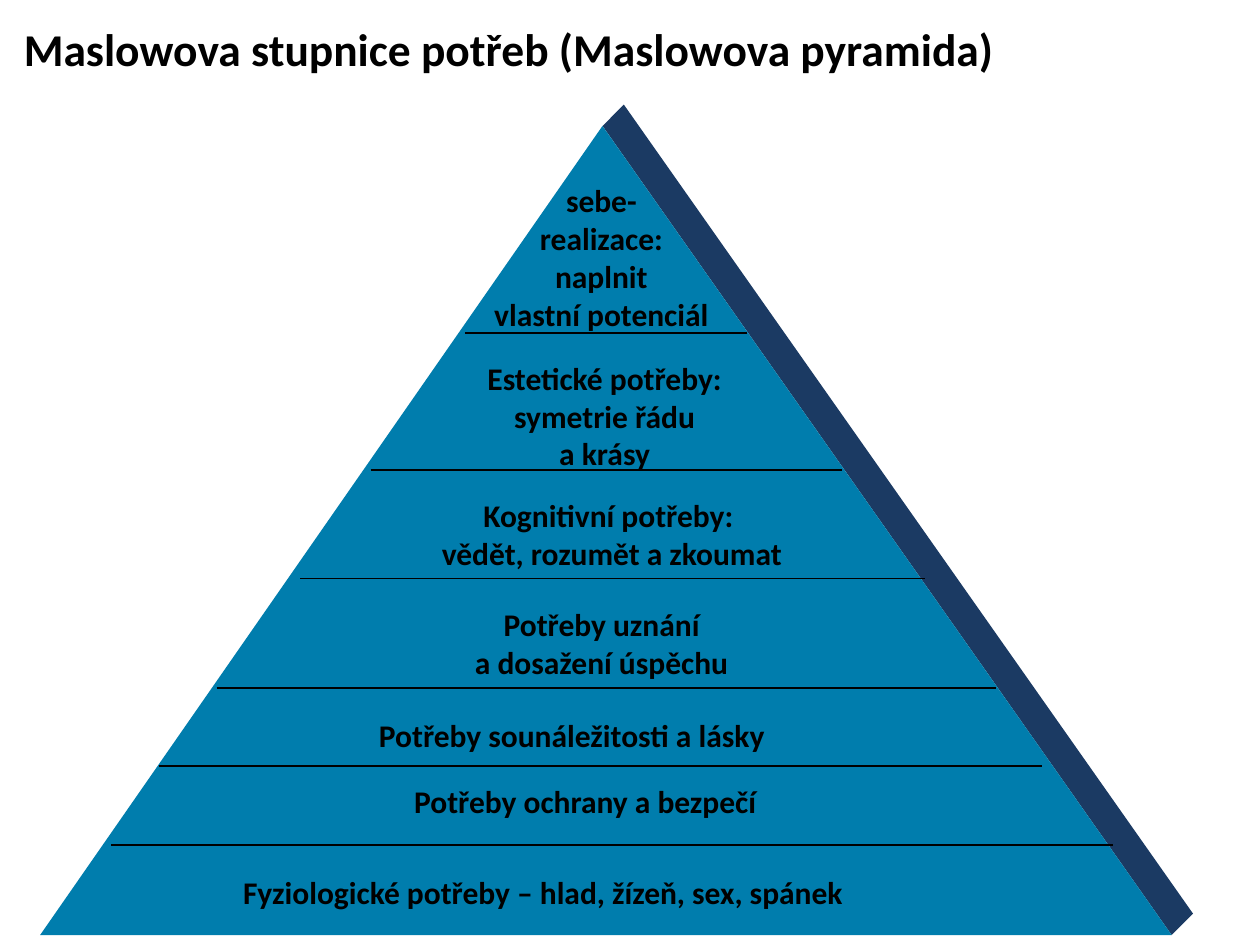
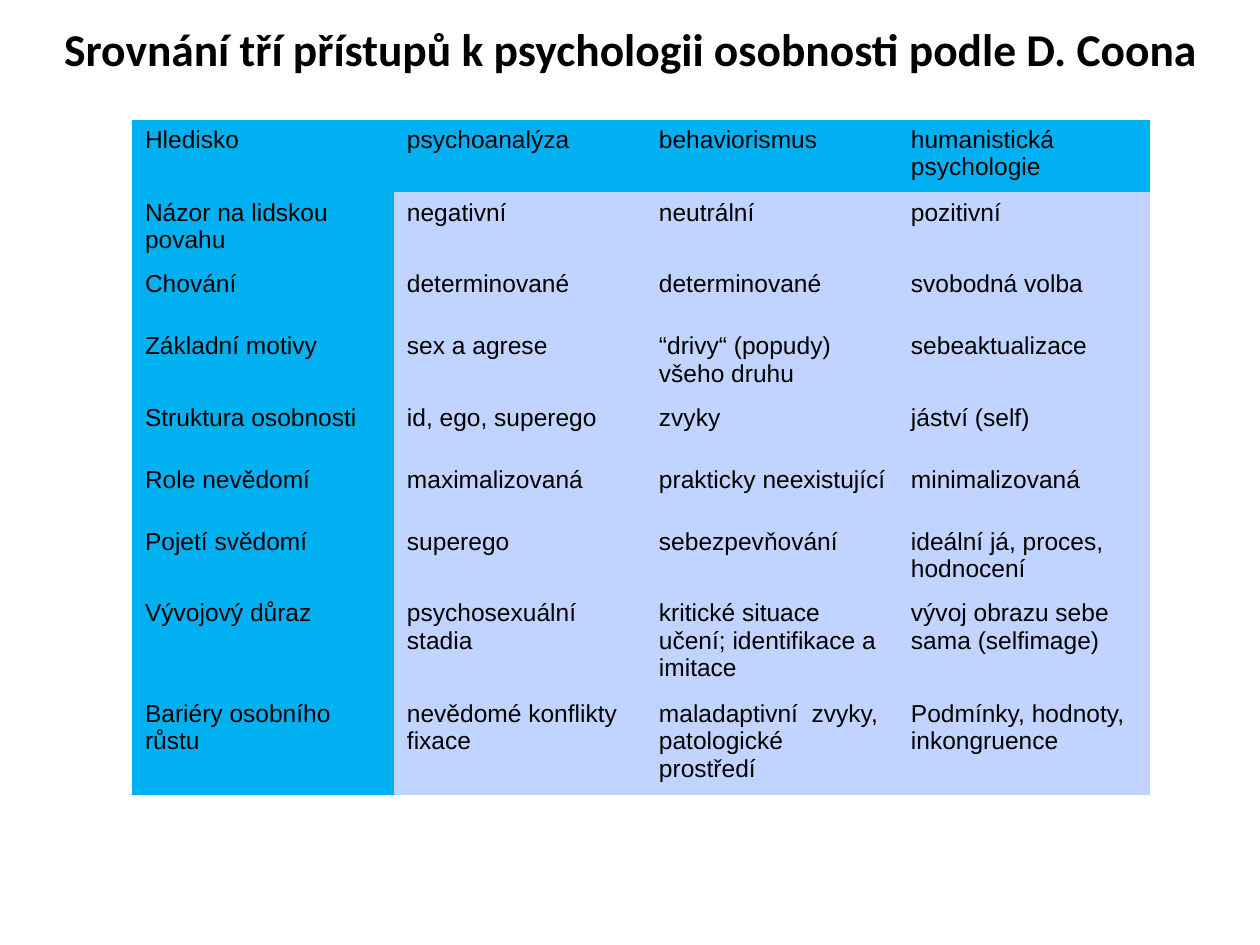
from lxml import etree
from pptx import Presentation
from pptx.dml.color import RGBColor
from pptx.enum.shapes import MSO_CONNECTOR as Connector, MSO_SHAPE as Shape
from pptx.enum.text import PP_ALIGN as Align
from pptx.oxml.ns import qn
from pptx.util import Cm, Pt

COLORS = {
    "text": "000000",
    "face": "007DAD",
    "side": "1B3A63",
    "header": "00B0F0",
    "cell": "C0D4FF",
}
TITLE_FONT = "Calibri"
TABLE_FONT = "Arial"
PLAIN_TABLE = "{2D5ABB26-0587-4C30-8999-92F81FD0307C}"

PYRAMID = (0.81, 2.54, 22.81, 16.31)
APEX_RATIO = 0.497
DEPTH = 0.43

DIVIDERS = [
    (2.24, 22.43, 17.04),
    (3.2, 21.01, 15.44),
    (4.37, 20.07, 13.87),
    (6.05, 18.64, 11.66),
    (7.47, 16.97, 9.47),
    (9.37, 15.06, 6.71),
]
LEVELS = [
    (4.65, 17.48, 14.94, Align.LEFT, "Fyziologické potřeby – hlad, žízeň, sex, spánek"),
    (8.1, 15.65, 7.47, Align.LEFT, "Potřeby ochrany a bezpečí"),
    (7.39, 14.3, 8.36, Align.LEFT, "Potřeby sounáležitosti a lásky"),
    (9.3, 12.07, 5.66, Align.CENTER, "Potřeby uznání\na dosažení úspěchu"),
    (8.48, 9.88, 7.57, Align.CENTER, "Kognitivní potřeby:\n vědět, rozumět a zkoumat"),
    (9.55, 7.11, 5.28, Align.CENTER, "Estetické potřeby:\nsymetrie řádu\na krásy"),
    (9.7, 3.53, 4.85, Align.CENTER, "sebe-\nrealizace:\nnaplnit\nvlastní potenciál"),
]
APPROACHES = [
    ("Hledisko", "psychoanalýza", "behaviorismus", "humanistická psychologie"),
    ("Názor na lidskou povahu", "negativní", "neutrální", "pozitivní"),
    ("Chování", "determinované", "determinované", "svobodná volba"),
    ("Základní motivy", "sex a agrese", "“drivy“ (popudy) všeho druhu", "sebeaktualizace"),
    ("Struktura osobnosti", "id, ego, superego", "zvyky", "jáství (self)"),
    ("Role nevědomí", "maximalizovaná", "prakticky neexistující", "minimalizovaná"),
    ("Pojetí svědomí", "superego", "sebezpevňování", "ideální já, proces, hodnocení"),
    ("Vývojový důraz", "psychosexuální stadia",
     "kritické situace učení; identifikace a imitace", "vývoj obrazu sebe sama (selfimage)"),
    ("Bariéry osobního růstu", "nevědomé konflikty fixace",
     "maladaptivní  zvyky, patologické prostředí", "Podmínky, hodnoty, inkongruence"),
]


def color(name):
    return RGBColor.from_string(COLORS[name])


def write(frame, text, font, size, bold=False, align=Align.LEFT):
    para = frame.paragraphs[0]
    para.text = text
    para.alignment = align
    for span in para.runs:
        span.font.name = font
        span.font.size = Pt(size)
        span.font.bold = bold
        span.font.color.rgb = color("text")


def add_title(page, text, align):
    box = page.shapes.add_textbox(Cm(0.48), Cm(0.43), Cm(24.5), Cm(1.3))
    frame = box.text_frame
    frame.word_wrap = True
    frame.margin_left = frame.margin_right = frame.margin_top = frame.margin_bottom = 0
    write(frame, text, TITLE_FONT, 26, True, align)


def paint(shape, fill):
    shape.shadow.inherit = False
    shape.fill.solid()
    shape.fill.fore_color.rgb = color(fill)
    shape.line.fill.background()


def add_pyramid(page):
    left, top, width, height = PYRAMID
    apex = left + width * APEX_RATIO
    right, bottom = left + width, top + height
    outline = page.shapes.build_freeform(Cm(apex), Cm(top))
    outline.add_line_segments([
        (Cm(apex + DEPTH), Cm(top - DEPTH)),
        (Cm(right + DEPTH), Cm(bottom - DEPTH)),
        (Cm(right), Cm(bottom)),
    ])
    paint(outline.convert_to_shape(), "side")
    face = page.shapes.add_shape(Shape.ISOSCELES_TRIANGLE, *map(Cm, PYRAMID))
    face.adjustments[0] = APEX_RATIO
    paint(face, "face")


def add_divider(page, left, right, y):
    line = page.shapes.add_connector(Connector.STRAIGHT, Cm(left), Cm(y), Cm(right), Cm(y))
    line.line.color.rgb = color("text")
    line.line.width = Pt(1)
    etree.SubElement(line.element.spPr, qn("a:effectLst"))


def add_level(page, left, top, width, align, text):
    line_count = text.count("\n") + 1
    height = 0.25 + 0.77 * line_count
    box = page.shapes.add_textbox(Cm(left), Cm(top), Cm(width), Cm(height))
    box.text_frame.word_wrap = align == Align.LEFT
    write(box.text_frame, text, TITLE_FONT, 18, True, align)


def add_comparison(page, rows):
    widths = [5.28, 5.08, 5.08, 5.08]
    heights = [1.47] + [1.25] * (len(rows) - 1)
    holder = page.shapes.add_table(len(rows), len(widths), Cm(2.67), Cm(2.41),
                                   Cm(sum(widths)), Cm(sum(heights)))
    table = holder.table
    table.first_row = table.horz_banding = False
    next(holder.element.iter(qn("a:tableStyleId"))).text = PLAIN_TABLE
    for column, width in zip(table.columns, widths):
        column.width = Cm(width)
    for row, height in zip(table.rows, heights):
        row.height = Cm(height)
    for r, texts in enumerate(rows):
        for c, text in enumerate(texts):
            cell = table.cell(r, c)
            cell.fill.solid()
            cell.fill.fore_color.rgb = color("header" if r == 0 or c == 0 else "cell")
            write(cell.text_frame, text, TABLE_FONT, 14)


def main():
    deck = Presentation()
    deck.slide_width, deck.slide_height = Cm(25.4), Cm(19.05)
    blank = deck.slide_layouts[6]

    page = deck.slides.add_slide(blank)
    add_title(page, "Maslowova stupnice potřeb (Maslowova pyramida)", Align.LEFT)
    add_pyramid(page)
    for divider in DIVIDERS:
        add_divider(page, *divider)
    for level in LEVELS:
        add_level(page, *level)

    page = deck.slides.add_slide(blank)
    add_title(page, "Srovnání tří přístupů k psychologii osobnosti podle D. Coona", Align.CENTER)
    add_comparison(page, APPROACHES)

    deck.save("out.pptx")


if __name__ == "__main__":
    main()
